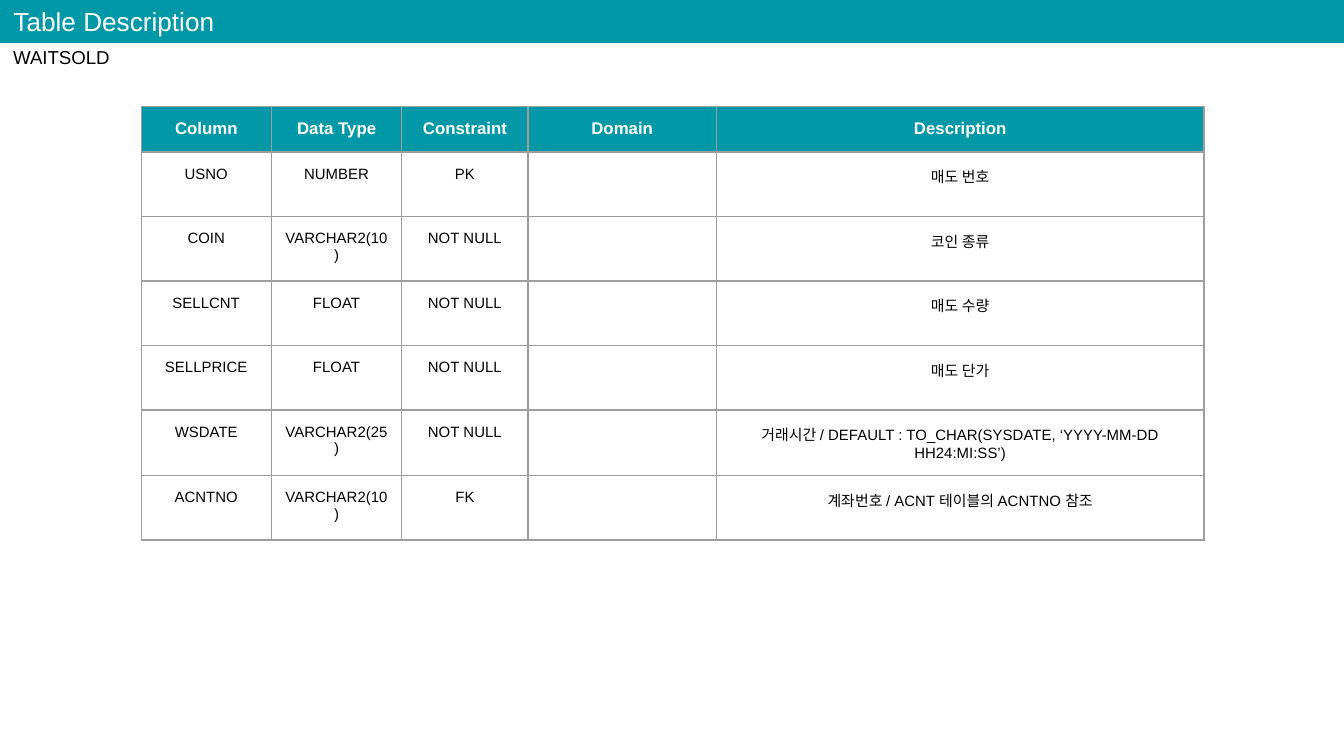
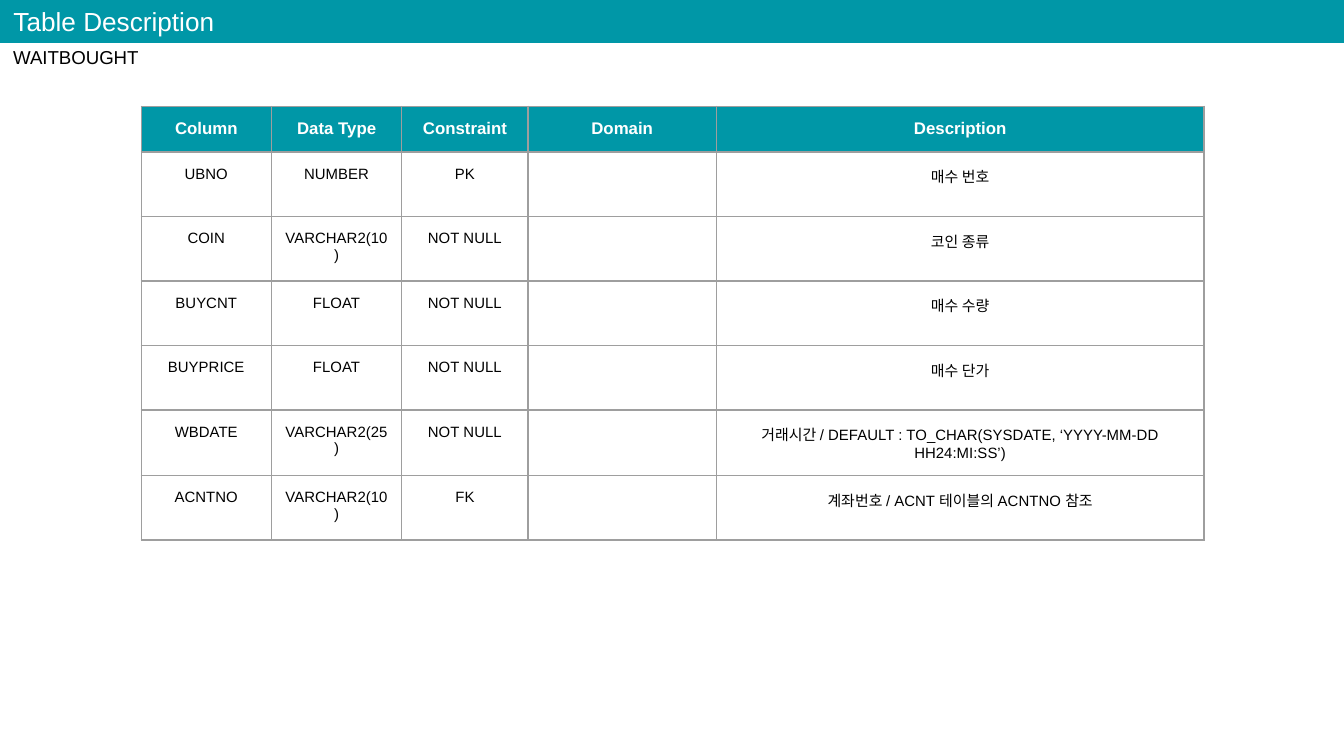
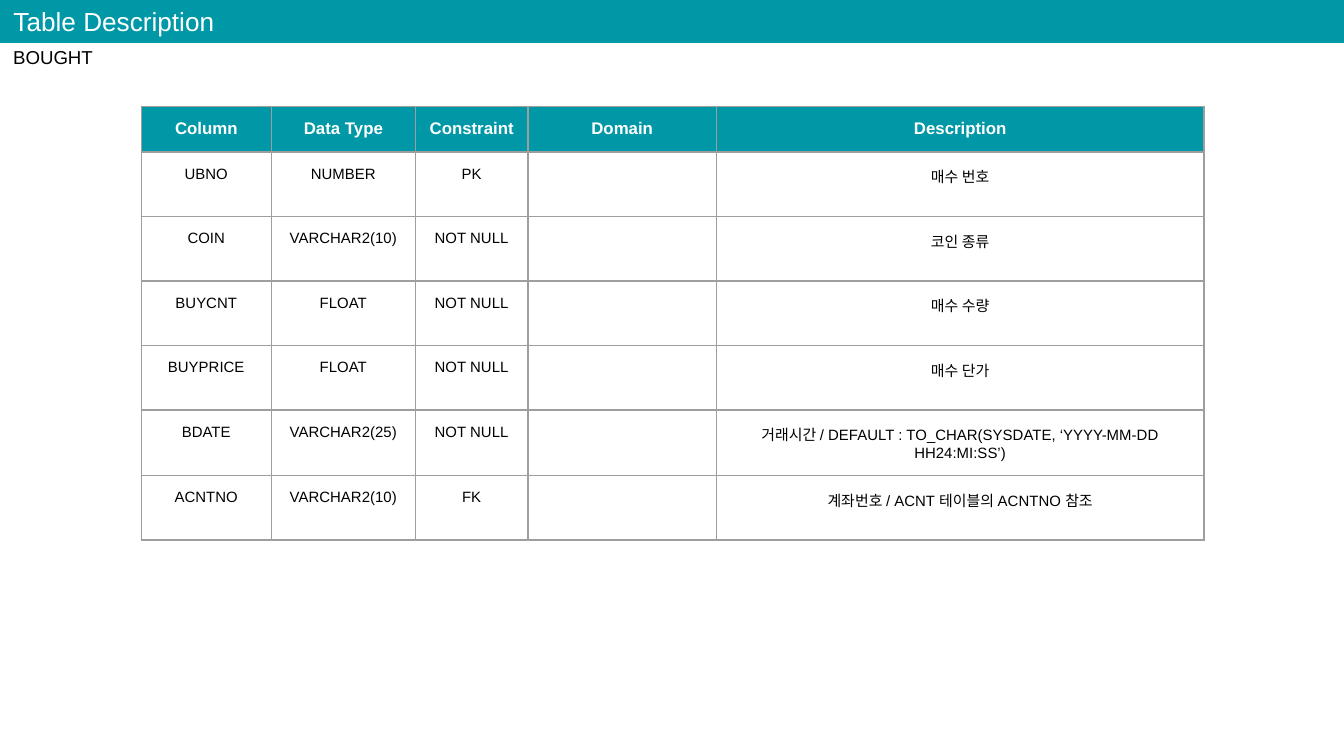
from dataclasses import dataclass

from lxml import etree
from pptx import Presentation
from pptx.dml.color import RGBColor
from pptx.enum import shapes, text
from pptx.oxml.ns import qn
from pptx.util import Inches, Pt

TITLE = "Table Description"
HEADINGS = ["Column", "Data Type", "Constraint", "Domain", "Description"]

FIELDS = [
    ("{number}", "NUMBER", "PK", "", "{side} 번호"),
    ("COIN", "VARCHAR2(10)", "NOT NULL", "", "코인 종류"),
    ("{count}", "FLOAT", "NOT NULL", "", "{side} 수량"),
    ("{price}", "FLOAT", "NOT NULL", "", "{side} 단가"),
    ("{date}", "VARCHAR2(25)", "NOT NULL", "",
     "거래시간 / DEFAULT : TO_CHAR(SYSDATE, ‘YYYY-MM-DD HH24:MI:SS’)"),
    ("ACNTNO", "VARCHAR2(10)", "FK", "", "계좌번호 / ACNT 테이블의 ACNTNO 참조"),
]

SELLING = dict(number="USNO", count="SELLCNT", price="SELLPRICE", side="매도")
BUYING = dict(number="UBNO", count="BUYCNT", price="BUYPRICE", side="매수")
NARROW_TYPE = [0.97, 0.97, 0.94, 1.4, 3.63]
WIDE_TYPE = [0.97, 1.07, 0.84, 1.4, 3.63]

ENTITIES = [
    ("WAITSOLD", dict(SELLING, date="WSDATE"), NARROW_TYPE),
    ("WAITBOUGHT", dict(BUYING, date="WBDATE"), NARROW_TYPE),
    ("BOUGHT", dict(BUYING, date="BDATE"), WIDE_TYPE),
]


@dataclass(frozen=True)
class Theme:
    font: str = "Arial"
    teal: str = "0097A7"
    white: str = "FFFFFF"
    black: str = "000000"
    border: str = "9E9E9E"
    border_width: float = 0.75
    title_size: int = 14
    entity_size: int = 10
    heading_size: int = 9
    field_size: int = 8
    inset: float = 0.1
    heading_height: float = 0.34
    field_height: float = 0.48
    plain_table: str = "{2D5ABB26-0587-4C30-8999-92F81FD0307C}"


THEME = Theme()


def add_run(paragraph, words, size, color, bold=False):
    run = paragraph.add_run()
    run.text = words
    run.font.name = THEME.font
    run.font.size = Pt(size)
    run.font.bold = bold
    run.font.color.rgb = RGBColor.from_string(color)


def set_insets(holder):
    for side in ("left", "top", "right", "bottom"):
        setattr(holder, "margin_" + side, Inches(THEME.inset))


def fill_label(label, box, words, size, color):
    label.left, label.top, label.width, label.height = map(Inches, box)
    frame = label.text_frame
    set_insets(frame)
    frame.word_wrap = True
    frame.auto_size = text.MSO_AUTO_SIZE.SHAPE_TO_FIT_TEXT
    frame.vertical_anchor = text.MSO_ANCHOR.TOP
    frame.paragraphs[0].alignment = text.PP_ALIGN.LEFT
    add_run(frame.paragraphs[0], words, size, color)


def set_borders(cell):
    properties = cell._tc.get_or_add_tcPr()
    for position, edge in enumerate(("lnL", "lnR", "lnT", "lnB")):
        line = etree.Element(qn("a:" + edge), w=str(Pt(THEME.border_width)))
        fill = etree.SubElement(line, qn("a:solidFill"))
        etree.SubElement(fill, qn("a:srgbClr"), val=THEME.border)
        properties.insert(position, line)


def fill_cell(cell, words, heading):
    set_insets(cell)
    if heading:
        cell.fill.solid()
        cell.fill.fore_color.rgb = RGBColor.from_string(THEME.teal)
    else:
        cell.fill.background()
    set_borders(cell)
    size = THEME.heading_size if heading else THEME.field_size
    color = THEME.white if heading else THEME.black
    paragraph = cell.text_frame.paragraphs[0]
    paragraph.alignment = text.PP_ALIGN.CENTER
    if words:
        add_run(paragraph, words, size, color, heading)
    else:
        etree.SubElement(paragraph._p, qn("a:endParaRPr"), sz=str(size * 100))


def add_fields(slide, names, widths):
    rows = [HEADINGS] + [[part.format(**names) for part in field] for field in FIELDS]
    heights = [THEME.heading_height] + [THEME.field_height] * len(FIELDS)
    frame = slide.shapes.add_table(
        len(rows), len(widths), Inches(1.05), Inches(0.79),
        Inches(sum(widths)), Inches(sum(heights)))
    fields = frame.table
    fields.first_row = fields.horz_banding = False
    fields._tbl.tblPr.find(qn("a:tableStyleId")).text = THEME.plain_table
    for column, width in zip(fields.columns, widths):
        column.width = Inches(width)
    for r, (row, height) in enumerate(zip(rows, heights)):
        fields.rows[r].height = Inches(height)
        for c, words in enumerate(row):
            fill_cell(fields.cell(r, c), words, r == 0)


def add_header(slide):
    band = slide.shapes.add_shape(
        shapes.MSO_SHAPE.RECTANGLE, 0, 0, deck.slide_width, Inches(0.32))
    band.shadow.inherit = False
    band.fill.solid()
    band.fill.fore_color.rgb = RGBColor.from_string(THEME.teal)
    band.line.fill.background()
    title = slide.shapes.title
    slide.shapes._spTree.append(title._element)
    fill_label(title, (0, -0.06, 2.82, 0.44), TITLE, THEME.title_size, THEME.white)


deck = Presentation()
deck.slide_width = Inches(10)
deck.slide_height = deck.slide_width * 9 // 16
title_only = deck.slide_layouts.get_by_name("Title Only")

for entity, names, widths in ENTITIES:
    slide = deck.slides.add_slide(title_only)
    add_fields(slide, names, widths)
    entity_label = slide.shapes.add_textbox(0, 0, 0, 0)
    fill_label(entity_label, (0, 0.26, 2.82, 0.37), entity, THEME.entity_size, THEME.black)
    add_header(slide)

deck.save("out.pptx")
